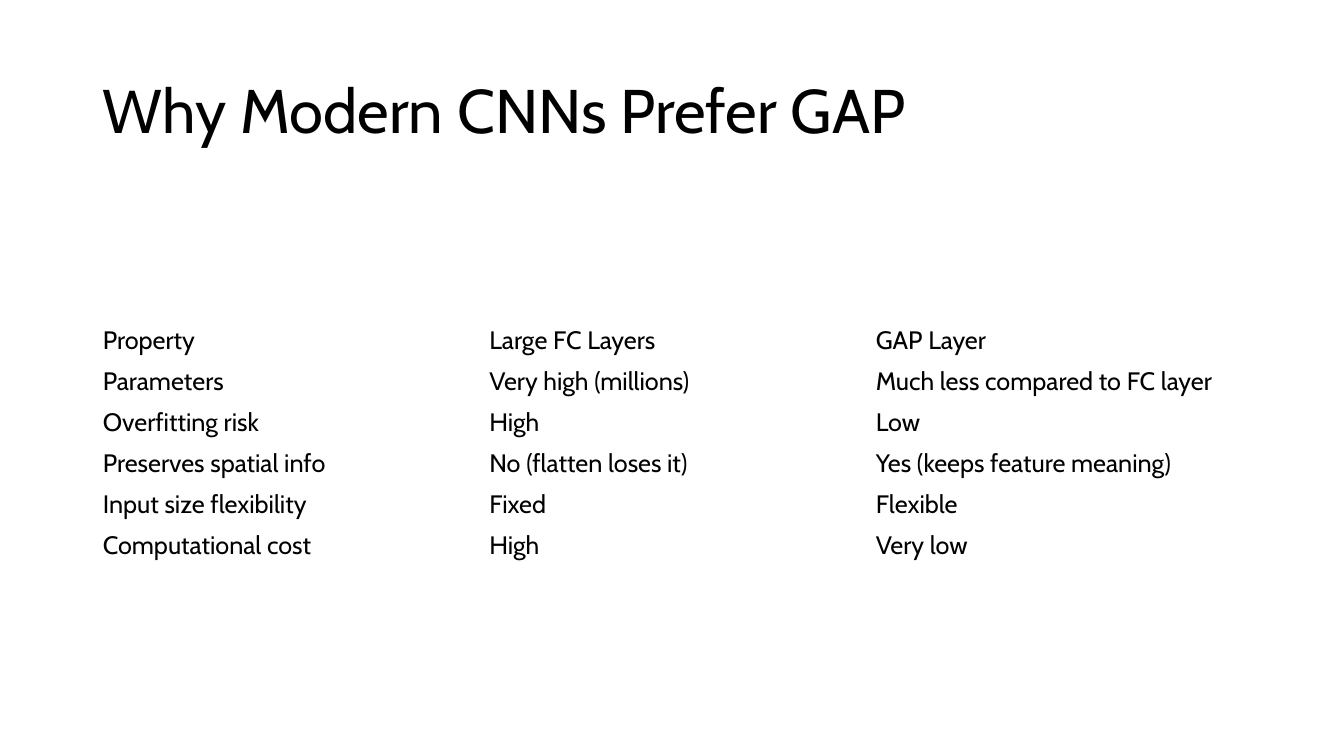
import pptx
import pptx.dml.color
import pptx.enum.text
import pptx.util
from pptx.util import Inches

FONT = "Cabin"
BLACK = "000000"
LEFT = Inches(0.92)
WIDTH = Inches(11.5)
ROW_HEIGHT = Inches(0.4)

COMPARISON = [
    ("Property", "Large FC Layers", "GAP Layer"),
    ("Parameters", "Very high (millions)", "Much less compared to FC layer"),
    ("Overfitting risk", "High", "Low"),
    ("Preserves spatial info", "No (flatten loses it)", "Yes (keeps feature meaning)"),
    ("Input size flexibility", "Fixed", "Flexible"),
    ("Computational cost", "High", "Very low"),
]


def color(value):
    return pptx.dml.color.RGBColor.from_string(value)


def format_paragraph(para, size):
    para.alignment = pptx.enum.text.PP_ALIGN.LEFT
    para.font.name = FONT
    para.font.size = pptx.util.Pt(size)
    para.font.bold = False
    para.font.color.rgb = color(BLACK)


def set_title(slide, text):
    title = slide.shapes.title
    title.left, title.top = LEFT, Inches(0.4)
    title.width, title.height = WIDTH, Inches(1.45)
    frame = title.text_frame
    frame.text = text
    frame.word_wrap = True
    frame.vertical_anchor = pptx.enum.text.MSO_ANCHOR.MIDDLE
    para = frame.paragraphs[0]
    para.line_spacing = 0.9
    format_paragraph(para, 44)


def add_plain_table(slide, rows):
    frame = slide.shapes.add_table(
        len(rows), len(rows[0]), LEFT, Inches(3.18), WIDTH, ROW_HEIGHT * len(rows)
    )
    table = frame.table
    table.first_row = False
    table.horz_banding = False
    for row, texts in zip(table.rows, rows):
        for cell, text in zip(row.cells, texts):
            cell.text = text
            cell.fill.background()
            cell.vertical_anchor = pptx.enum.text.MSO_ANCHOR.MIDDLE
            format_paragraph(cell.text_frame.paragraphs[0], 18)


def main():
    deck = pptx.Presentation()
    deck.slide_width = Inches(13.33)
    deck.slide_height = Inches(7.5)
    slide = deck.slides.add_slide(deck.slide_layouts.get_by_name("Title Only"))
    set_title(slide, "Why Modern CNNs Prefer GAP")
    add_plain_table(slide, COMPARISON)
    deck.save("out.pptx")


if __name__ == "__main__":
    main()
